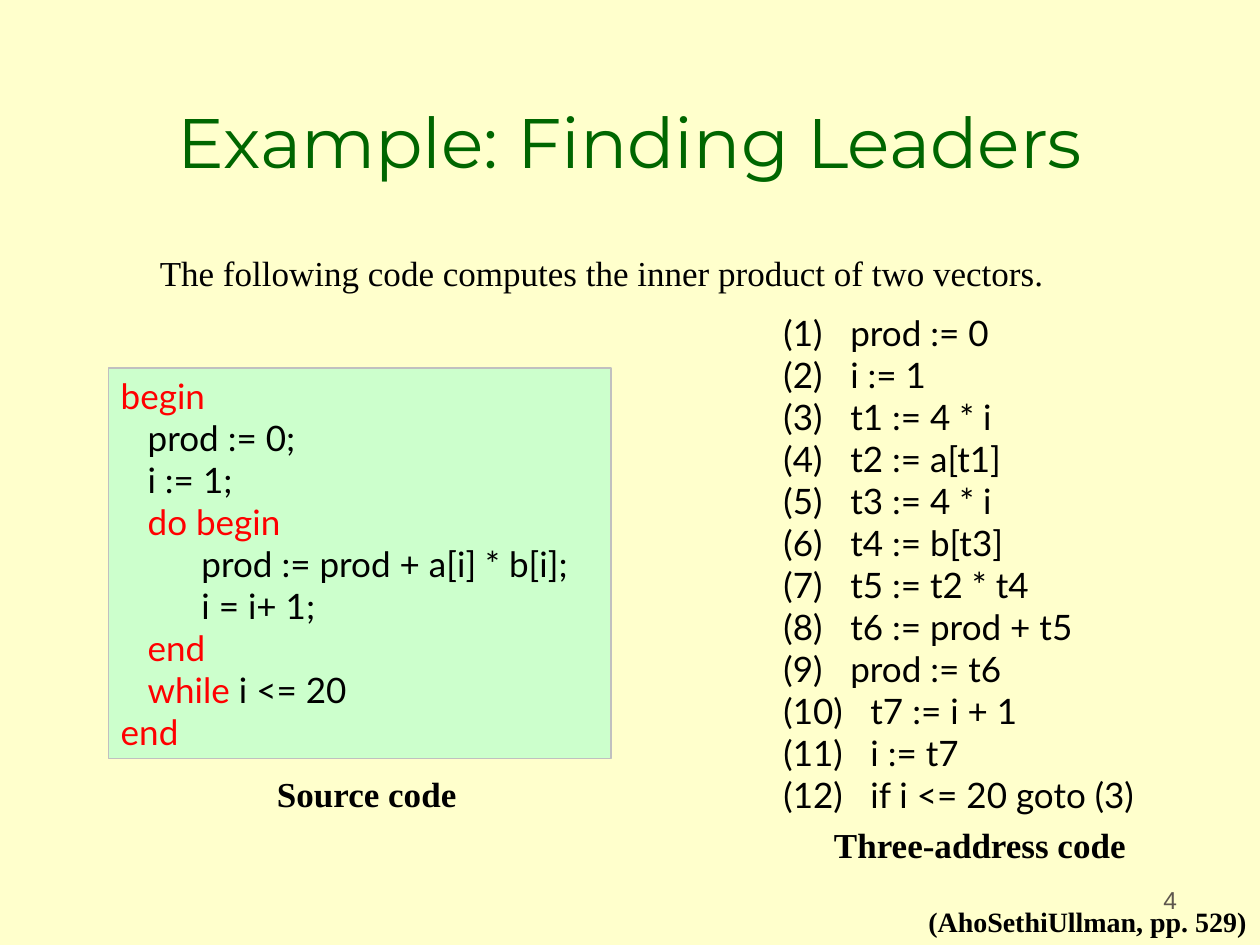
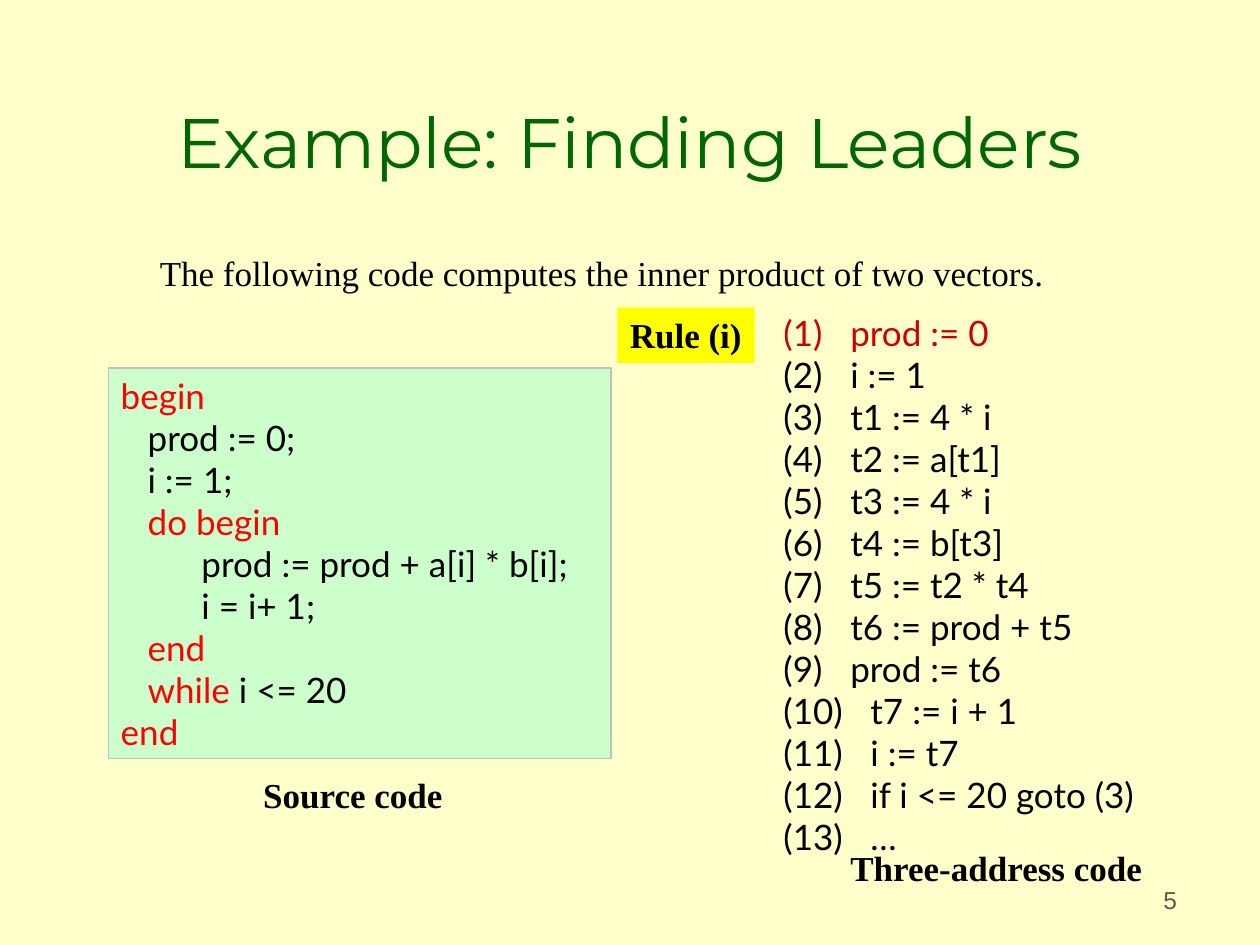
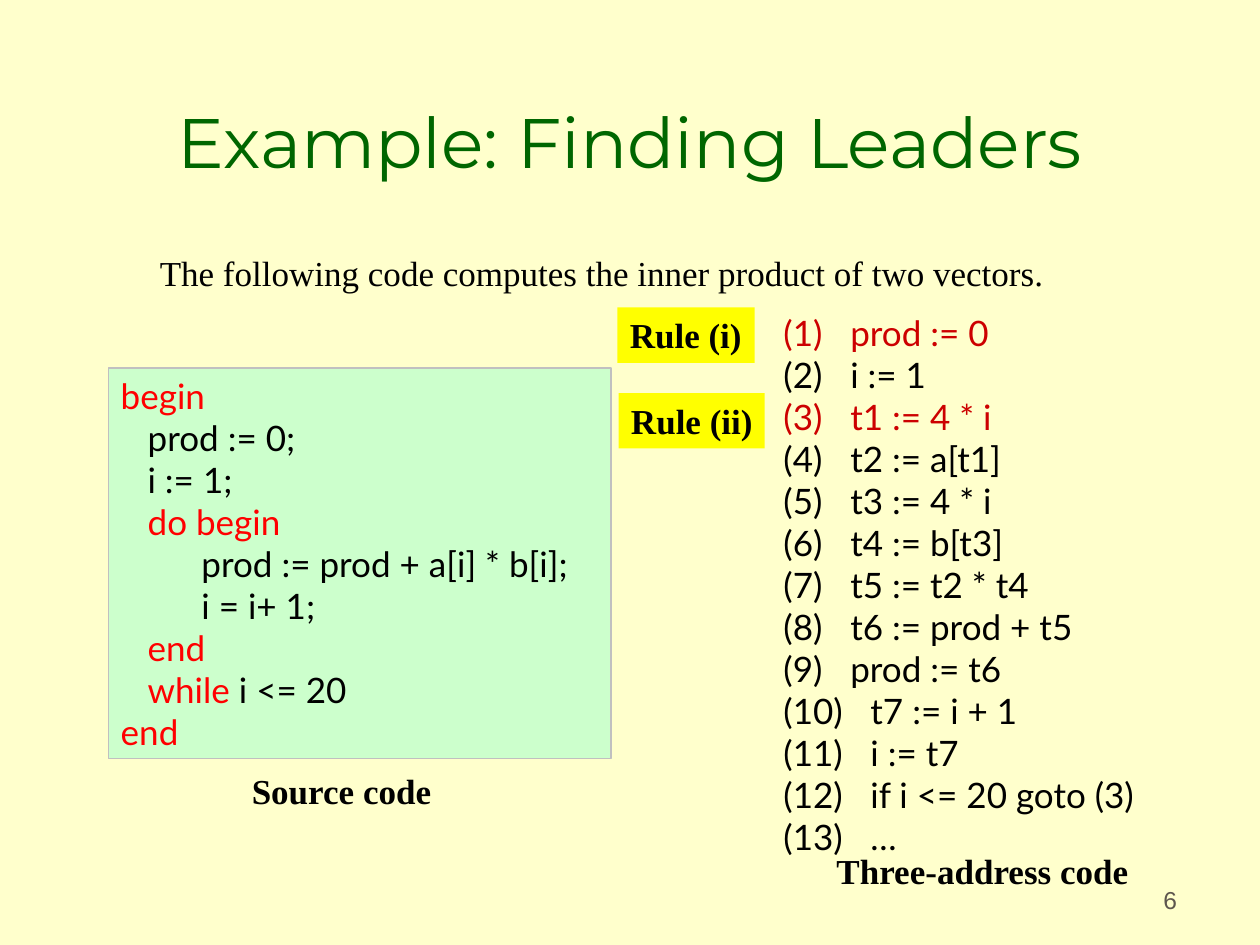
from dataclasses import dataclass

from pptx import Presentation
from pptx.dml.color import RGBColor as Rgb
from pptx.enum.shapes import MSO_SHAPE as Shape
from pptx.enum.text import MSO_ANCHOR as Anchor, MSO_AUTO_SIZE as AutoSize, PP_ALIGN as Align
from pptx.oxml.ns import qn
from pptx.util import Inches, Pt


@dataclass(frozen=True)
class Theme:
    paper: str = "FFFFCC"
    title: str = "006600"
    ink: str = "000000"
    number: str = "5E574E"
    keyword: str = "FF0000"
    leader: str = "CC0000"
    code_fill: str = "CCFFCC"
    code_line: str = "C0C0C0"
    rule_fill: str = "FFFF00"
    title_font: str = "Montserrat"
    code_font: str = "Lato"
    body_font: str = "Times New Roman"
    number_font: str = "Arial"
    title_size: int = 40
    body_size: int = 20
    cite_size: int = 16
    number_size: int = 14


THEME = Theme()

# Each line: indent in spaces, keyword, plain code.
SOURCE_LINES = [
    (0, "begin", ""),
    (3, "", "prod := 0;"),
    (3, "", "i := 1;"),
    (3, "do begin", ""),
    (9, "", "prod := prod + a[i] * b[i];"),
    (9, "", "i = i+ 1;"),
    (3, "end", ""),
    (3, "while", " i <= 20"),
    (0, "end", ""),
]
INSTRUCTIONS = [
    "prod := 0", "i := 1", "t1 := 4 * i", "t2 := a[t1]", "t3 := 4 * i", "t4 := b[t3]",
    "t5 := t2 * t4", "t6 := prod + t5", "prod := t6", "t7 := i + 1", "i := t7",
    "if i <= 20 goto (3)",
]
LINE_HEIGHT = 1 / 3


def set_font(font, name, size, color, bold=False):
    font.name = name
    font.size = Pt(size)
    font.bold = bold
    font.color.rgb = Rgb.from_string(color)


def add_box(page, left, top, width, height, fill=None, line=None):
    """Add a rectangle if a fill is given, else a text box; return its text frame."""
    place = [Inches(length) for length in (left, top, width, height)]
    if fill:
        box = page.shapes.add_shape(Shape.RECTANGLE, *place)
        box.shadow.inherit = False
        box.fill.solid()
        box.fill.fore_color.rgb = Rgb.from_string(fill)
        if line:
            box.line.color.rgb = Rgb.from_string(line)
            box.line.width = Pt(0.75)
        else:
            box.line.fill.background()
    else:
        box = page.shapes.add_textbox(*place)
    frame = box.text_frame
    frame.word_wrap = True
    frame.auto_size = AutoSize.NONE
    frame.vertical_anchor = Anchor.TOP
    return frame


def next_para(frame, index):
    para = frame.add_paragraph() if index else frame.paragraphs[0]
    para.alignment = Align.LEFT
    return para


def add_label(page, text, left, top, width, height=0.44, size=THEME.body_size,
              bold=True, fill=None):
    """Add one line of text in a close-fitting box, with no right inset so it never wraps."""
    frame = add_box(page, left, top, width, height, fill)
    frame.margin_right = 0
    para = next_para(frame, 0)
    para.text = text
    set_font(para.font, THEME.body_font, size, THEME.ink, bold)


def add_title(page, text):
    frame = add_box(page, 0.75, 0.25, 8.5, 1.25)
    frame.vertical_anchor = Anchor.BOTTOM
    para = frame.paragraphs[0]
    para.text = text
    para.alignment = Align.CENTER
    set_font(para.font, THEME.title_font, THEME.title_size, THEME.title)


def add_page_number(page, number):
    frame = add_box(page, 7.36, 6.81, 2.08, 0.5)
    frame.vertical_anchor = Anchor.BOTTOM
    para = frame.paragraphs[0]
    para.text = str(number)
    para.alignment = Align.RIGHT
    set_font(para.font, THEME.number_font, THEME.number_size, THEME.number)


def add_source_code(page):
    frame = add_box(page, 0.86, 2.92, 3.99, 3.1, THEME.code_fill, THEME.code_line)
    for index, (indent, keyword, code) in enumerate(SOURCE_LINES):
        para = next_para(frame, index)
        set_font(para.font, THEME.code_font, THEME.body_size, THEME.ink)
        if keyword:
            pieces = [(" " * indent, THEME.ink), (keyword, THEME.keyword), (code, THEME.ink)]
        else:
            pieces = [(" " * indent + code, THEME.ink)]
        for text, color in pieces:
            if text:
                span = para.add_run()
                span.text = text
                set_font(span.font, THEME.code_font, THEME.body_size, color)


def add_tab_stop(para, position):
    properties = para._p.get_or_add_pPr()
    stops = properties.makeelement(qn("a:tabLst"), {})
    stops.append(stops.makeelement(qn("a:tab"), {"pos": str(Inches(position)), "algn": "l"}))
    properties.append(stops)


def add_three_address_code(page, instructions, leaders):
    """List numbered instructions, with the leaders picked out in red."""
    height = len(instructions) * LINE_HEIGHT + 0.1
    frame = add_box(page, 6.12, 2.42, 3.07, height, THEME.paper)
    for index, code in enumerate(instructions):
        number = index + 1
        para = next_para(frame, index)
        add_tab_stop(para, 0.53 if number < 10 else 0.69)
        para.text = f"({number})\t{code}"
        color = THEME.leader if number in leaders else THEME.ink
        set_font(para.font, THEME.code_font, THEME.body_size, color)


def add_example_page(deck, number, instructions, source_at, address_at, rules=()):
    """Add one step of the example; rules holds (leader, text, left, top, width)."""
    page = deck.slides.add_slide(deck.slide_layouts[6])
    add_title(page, "Example: Finding Leaders")
    add_page_number(page, number)
    add_label(page, "The following code computes the inner product of two vectors.",
              1.17, 1.95, 7.27, bold=False)
    add_three_address_code(page, instructions, {rule[0] for rule in rules})
    add_label(page, "Source code", *source_at, 1.63)
    add_label(page, "Three-address code", *address_at, 2.52)
    for _, text, left, top, width in rules:
        add_label(page, text, left, top, width, fill=THEME.rule_fill)
    add_source_code(page)
    return page


def main():
    deck = Presentation()
    deck.slide_width, deck.slide_height = Inches(10), Inches(7.5)
    background = deck.slide_master.background.fill
    background.solid()
    background.fore_color.rgb = Rgb.from_string(THEME.paper)

    first_rule = (1, "Rule (i)", 4.9, 2.44, 1.09)
    second_rule = (3, "Rule (ii)", 4.91, 3.12, 1.16)
    continued = INSTRUCTIONS + ["…"]

    page = add_example_page(deck, 4, INSTRUCTIONS, (2.1, 6.08), (6.52, 6.49))
    add_label(page, "(AhoSethiUllman, pp. 529)", 7.27, 7.13, 2.72, 0.37, THEME.cite_size)
    add_example_page(deck, 5, continued, (1.99, 6.09), (6.65, 6.67), [first_rule])
    add_example_page(deck, 6, continued, (1.9, 6.06), (6.54, 6.69), [first_rule, second_rule])
    deck.save("out.pptx")


if __name__ == "__main__":
    main()
